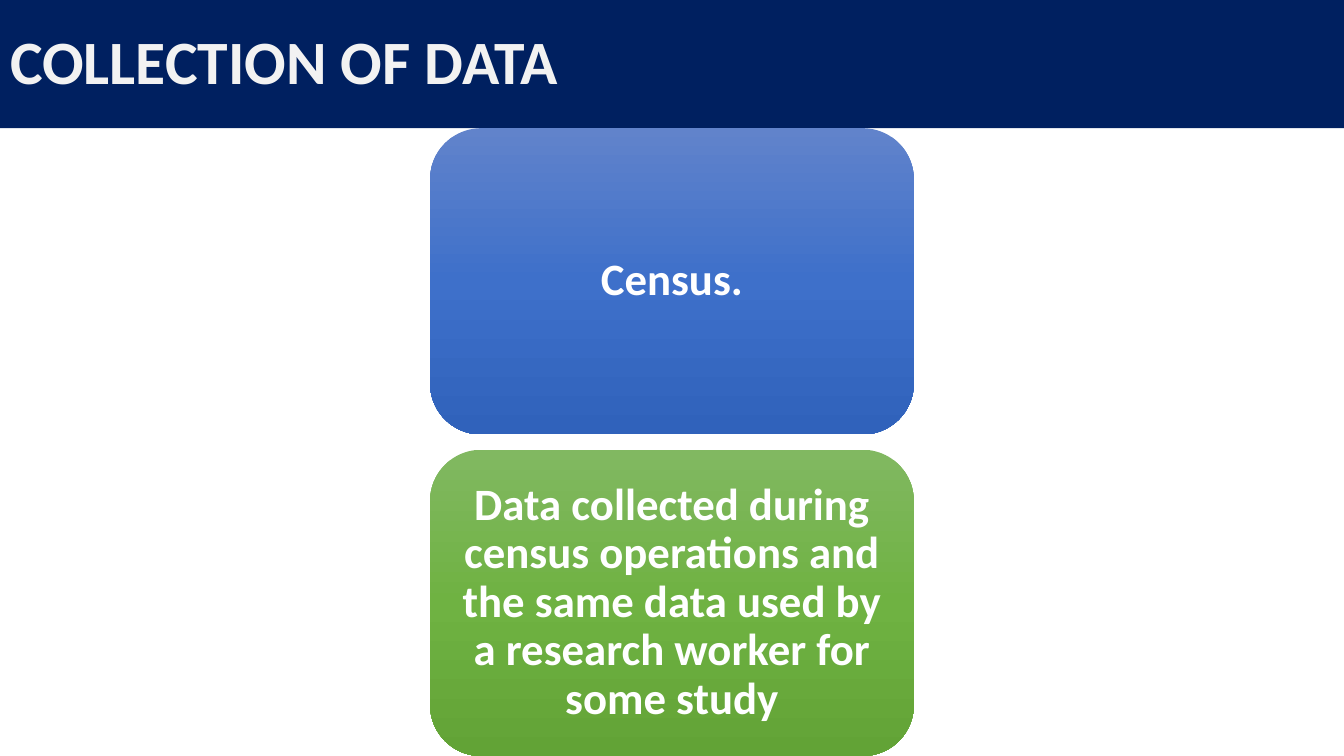
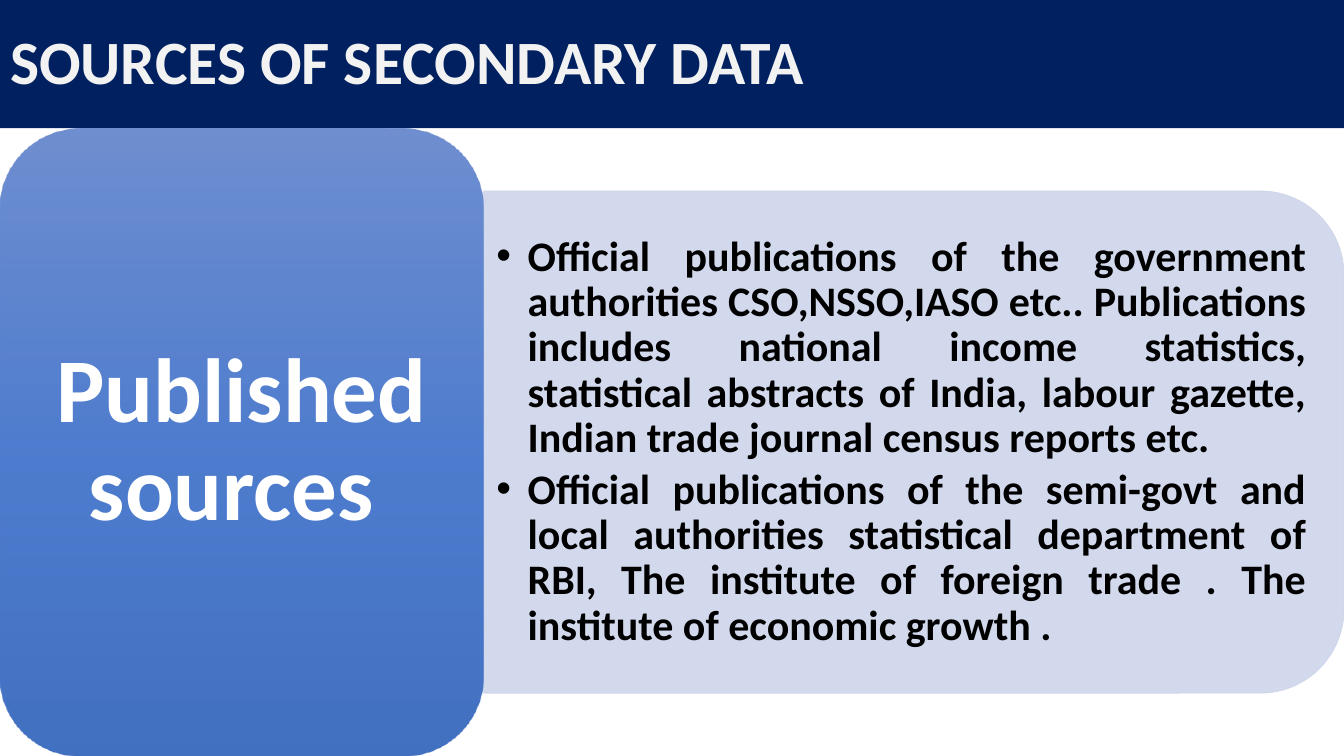
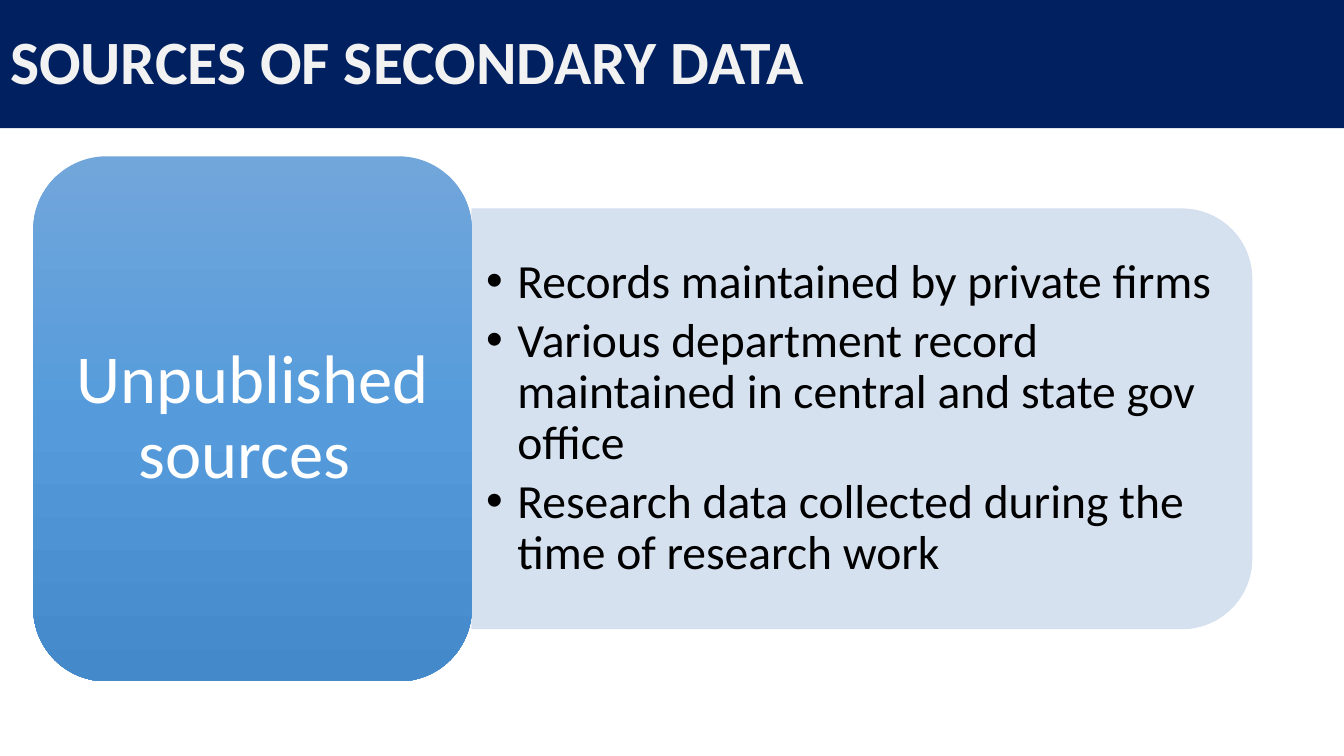
from lxml import etree
from pptx import Presentation
from pptx.dml.color import RGBColor
from pptx.enum.shapes import MSO_SHAPE
from pptx.enum.text import MSO_ANCHOR, MSO_AUTO_SIZE, PP_ALIGN
from pptx.oxml.ns import qn
from pptx.util import Cm, Pt

ROUND_RECT = MSO_SHAPE.ROUNDED_RECTANGLE
ROUND_TOP = MSO_SHAPE.ROUND_2_SAME_RECTANGLE
MIDDLE, NO_FIT = MSO_ANCHOR.MIDDLE, MSO_AUTO_SIZE.NONE
LEFT, CENTER, JUSTIFY = PP_ALIGN.LEFT, PP_ALIGN.CENTER, PP_ALIGN.JUSTIFY

FONT = "Calibri"
NAVY = RGBColor(0x00, 0x20, 0x60)
OFF_WHITE = RGBColor(0xF2, 0xF2, 0xF2)
WHITE = RGBColor(0xFF, 0xFF, 0xFF)
BLACK = RGBColor(0x00, 0x00, 0x00)
LAVENDER = RGBColor(0xCF, 0xD5, 0xEA)
PALE_BLUE = RGBColor(0xD2, 0xDE, 0xEF)
BLUES = [RGBColor(0x61, 0x83, 0xCB), RGBColor(0x3E, 0x70, 0xCA), RGBColor(0x30, 0x62, 0xBB)]
GREENS = [RGBColor(0x81, 0xB8, 0x61), RGBColor(0x6F, 0xB2, 0x42), RGBColor(0x62, 0xA3, 0x36)]
SKY_BLUES = [RGBColor(0x71, 0xA6, 0xDB), RGBColor(0x55, 0x9B, 0xDB), RGBColor(0x44, 0x8A, 0xCA)]

# Lengths in centimetres
SLIDE_W, SLIDE_H, BAND_H = 33.87, 19.05, 3.23
STACK_W, STACK_GAP = 12.19, 0.05    # gap as a share of the card height
PANEL_SHARE = 0.8                   # panel height as a share of the card height
CORNER_INSET = 0.16667 * 0.29289    # text inset caused by rounded corners
BULLET_INDENT = 0.79

COLLECTION = {
    "title": "COLLECTION OF DATA",
    "cards": [
        ("Census.", BLUES),
        ("Data collected during census operations and the same data used by "
         "a research worker for some study", GREENS),
    ],
}
SOURCES = [
    {
        "title": "SOURCES OF SECONDARY DATA",
        "heading": "Published sources ",
        "items": [
            "Official publications of the government authorities CSO,NSSO,IASO etc.. "
            "Publications includes national income statistics, statistical abstracts of "
            "India, labour gazette, Indian trade journal census reports etc.",
            "Official publications of the semi-govt and local authorities statistical "
            "department of RBI, The institute of foreign trade . The institute of "
            "economic growth .",
        ],
        "card": (0, BAND_H, 12.19, SLIDE_H - BAND_H), "panel_w": 21.68,
        "colors": BLUES, "alpha": 90, "panel_color": LAVENDER,
        "heading_size": 65, "item_size": 30, "bold": True, "align": JUSTIFY,
    },
    {
        "title": "SOURCES OF SECONDARY DATA",
        "heading": "Unpublished sources ",
        "items": [
            "Records maintained by private firms",
            "Various department record maintained in central and state gov office",
            "Research data collected during the time of research work",
        ],
        "card": (0.84, 3.94, 11.05, 13.23), "panel_w": 19.66,
        "colors": SKY_BLUES, "alpha": 100, "panel_color": PALE_BLUE,
        "heading_size": 49, "item_size": 34, "bold": False, "align": LEFT,
    },
]


def place(sp, *box):
    for name, value in zip(("left", "top", "width", "height"), box):
        setattr(sp, name, Cm(value))


def write(sp, texts, size, color, bold=True, align=CENTER, after=0.0, inset=True):
    """Fill a text frame; after is the paragraph gap as a share of the size."""
    tf = sp.text_frame
    frame = {"word_wrap": True, "auto_size": NO_FIT, "vertical_anchor": MIDDLE}
    if inset:
        side, edge = Pt(size * 0.3), Pt(size * 0.15)
        frame.update(margin_left=side, margin_right=side, margin_top=edge, margin_bottom=edge)
    for name, value in frame.items():
        setattr(tf, name, value)
    para = {"alignment": align, "line_spacing": 0.9,
            "space_before": Pt(0), "space_after": Pt(size * after)}
    for i, text in enumerate(texts):
        p = tf.paragraphs[0] if i == 0 else tf.add_paragraph()
        for name, value in para.items():
            setattr(p, name, value)
        r = p.add_run()
        r.text = text
        for name, value in {"name": FONT, "size": Pt(size), "bold": bold}.items():
            setattr(r.font, name, value)
        r.font.color.rgb = color


def set_alpha(parent, percent):
    for clr in parent.iter(qn("a:srgbClr")):
        etree.SubElement(clr, qn("a:alpha"), val=str(percent * 1000))


def add_slide(prs, layout, title):
    slide = prs.slides.add_slide(prs.slide_layouts.get_by_name(layout))
    sp = slide.shapes.title
    place(sp, 0, 0, SLIDE_W, BAND_H)
    sp.fill.solid()
    sp.fill.fore_color.rgb = NAVY
    write(sp, [title], 44, OFF_WHITE, align=LEFT, inset=False)
    return slide


def add_card(slide, box, text, size, colors, bold=True, alpha=100):
    sp = slide.shapes.add_shape(ROUND_RECT, *map(Cm, box))
    sp.shadow.inherit = False
    sp.line.fill.background()
    sp.fill.gradient()
    sp.fill.gradient_angle = 270
    stops = next(sp._element.spPr.iter(qn("a:gsLst")))
    for stop in list(stops):
        stops.remove(stop)
    for pos, color in zip((0, 50000, 100000), colors):
        stop = etree.SubElement(stops, qn("a:gs"), pos=str(pos))
        etree.SubElement(stop, qn("a:srgbClr"), val=str(color))
    if alpha < 100:
        set_alpha(stops, alpha)
    write(sp, [text], size, WHITE, bold)


def add_panel(slide, left, top, width, height, color):
    """Add a panel rounded on the right: a top-rounded shape turned by 90 degrees."""
    x, y = left + (width - height) / 2, top + (height - width) / 2
    sp = slide.shapes.add_shape(ROUND_TOP, Cm(x), Cm(y), Cm(height), Cm(width))
    sp.rotation = 90
    sp.shadow.inherit = False
    sp.fill.solid()
    sp.fill.fore_color.rgb = color
    sp.line.color.rgb = color
    sp.line.width = Pt(0.5)
    set_alpha(sp._element.spPr, 90)


def build_collection(prs, data):
    slide = add_slide(prs, "Title Only", data["title"])
    n = len(data["cards"])
    height = (SLIDE_H - BAND_H) / (n + (n - 1) * STACK_GAP)
    for i, (text, colors) in enumerate(data["cards"]):
        top = BAND_H + i * height * (1 + STACK_GAP)
        add_card(slide, ((SLIDE_W - STACK_W) / 2, top, STACK_W, height), text, 32, colors)


def build_source(prs, data):
    slide = add_slide(prs, "Title and Content", data["title"])
    left, top, width, height = data["card"]
    panel_left, panel_h = left + width, height * PANEL_SHARE
    panel_top = top + (height - panel_h) / 2
    add_panel(slide, panel_left, panel_top, data["panel_w"], panel_h, data["panel_color"])

    body = slide.placeholders[1]
    inset = panel_h * CORNER_INSET
    place(body, panel_left, panel_top + inset, data["panel_w"] - inset, panel_h - 2 * inset)
    write(body, data["items"], data["item_size"], BLACK, data["bold"], data["align"], after=0.15)
    for p in body.text_frame.paragraphs:
        pPr = p._p.get_or_add_pPr()
        pPr.set("marL", str(Cm(BULLET_INDENT)))
        pPr.set("indent", str(-Cm(BULLET_INDENT)))
        etree.SubElement(pPr, qn("a:buChar"), char="•")
    slide.shapes._spTree.append(body._element)  # bring the list in front of the panel

    add_card(slide, data["card"], data["heading"], data["heading_size"],
             data["colors"], data["bold"], data["alpha"])


def main():
    prs = Presentation()
    prs.slide_width, prs.slide_height = Cm(SLIDE_W), Cm(SLIDE_H)
    build_collection(prs, COLLECTION)
    for data in SOURCES:
        build_source(prs, data)
    prs.save("out.pptx")


if __name__ == "__main__":
    main()
